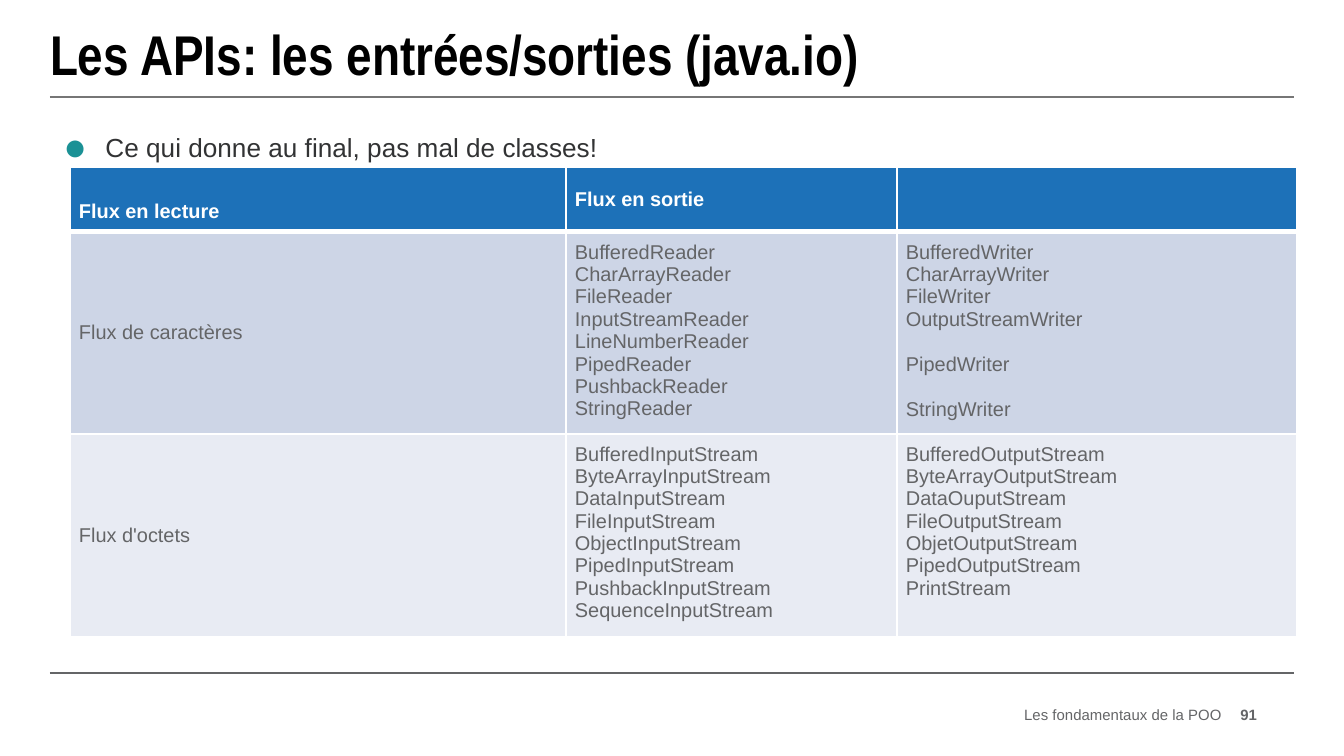
from lxml import etree
from pptx import Presentation
from pptx import util as u
from pptx.dml.color import RGBColor
from pptx.enum import shapes, text
from pptx.oxml.ns import qn

SCALE = 914400 / 134.4
GREY, WHITE = "646567", "FFFFFF"
SIZE = 10.7
GAP = 12.3

TITLE = "Les APIs: les entrées/sorties (java.io)"
POINT = "Ce qui donne au final, pas mal de classes!"
FOOT = [("Les fondamentaux de la POO", 926, 296, False), ("91", 1230, 27, True)]
RULES = [(97, "767676"), (673, GREY)]

COLS = [496, 331, 400]
ROWS = [65, 202, 203]
FILLS = ["1D71B8", "CDD5E6", "E8EBF3"]
HEAD = [["Flux en lecture"], ["Flux en sortie"], []]
CHARS = [
    ["Flux de caractères"],
    ["BufferedReader", "CharArrayReader", "FileReader", "InputStreamReader",
     "LineNumberReader", "PipedReader", "PushbackReader", "StringReader"],
    ["BufferedWriter", "CharArrayWriter", "FileWriter", "OutputStreamWriter",
     "PipedWriter", "StringWriter"],
]
BYTES = [
    ["Flux d'octets"],
    ["BufferedInputStream", "ByteArrayInputStream", "DataInputStream",
     "FileInputStream", "ObjectInputStream", "PipedInputStream",
     "PushbackInputStream", "SequenceInputStream"],
    ["BufferedOutputStream", "ByteArrayOutputStream", "DataOuputStream",
     "FileOutputStream", "ObjetOutputStream", "PipedOutputStream", "PrintStream"],
]
APART = {"PipedWriter", "StringWriter"}


def px(n):
    return u.Emu(round(n * SCALE))


def rgb(code):
    return RGBColor.from_string(code)


def place(shape, x, y, w, h):
    shape.left, shape.top, shape.width, shape.height = map(px, (x, y, w, h))


def write(frame, lines, size=SIZE, color=GREY, bold=False, font="Arial",
          align=text.PP_ALIGN.LEFT, before=0):
    for i, line in enumerate(lines):
        para = frame.paragraphs[0] if i == 0 else frame.add_paragraph()
        para.alignment = align
        para.space_before = u.Pt(GAP if line in APART else before)
        run = para.add_run()
        run.text = line
        run.font.size = u.Pt(size)
        run.font.name = font
        run.font.bold = bold
        run.font.color.rgb = rgb(color)


def trim(frame):
    frame.margin_left = frame.margin_right = 0
    frame.margin_top = frame.margin_bottom = 0
    frame.vertical_anchor = text.MSO_ANCHOR.MIDDLE
    frame.word_wrap = True
    frame.auto_size = text.MSO_AUTO_SIZE.NONE


def bullet(para, color, part, sign):
    props = para._p.get_or_add_pPr()
    props.set("marL", str(px(42)))
    props.set("indent", str(px(-42)))
    tint = etree.SubElement(props, qn("a:buClr"))
    etree.SubElement(tint, qn("a:srgbClr"), val=color)
    etree.SubElement(props, qn("a:buSzPct"), val=str(part * 1000))
    etree.SubElement(props, qn("a:buFont"), typeface="Arial")
    etree.SubElement(props, qn("a:buChar"), char=sign)


def border(cell, sides):
    props = cell._tc.get_or_add_tcPr()
    for i, (side, width) in enumerate(sides.items()):
        line = etree.Element(qn("a:ln" + side), w=str(u.Pt(width)))
        fill = etree.SubElement(line, qn("a:solidFill"))
        etree.SubElement(fill, qn("a:srgbClr"), val=WHITE)
        props.insert(i, line)


def rule(slide, y, color):
    line = slide.shapes.add_connector(
        shapes.MSO_CONNECTOR.STRAIGHT, px(50), px(y), px(1294), px(y))
    line.line.color.rgb = rgb(color)
    line.line.width = u.Pt(1)
    etree.SubElement(line._element.spPr, qn("a:effectLst"))


def grid(slide):
    table = slide.shapes.add_table(
        len(ROWS), len(COLS), px(70), px(167), px(sum(COLS)), px(sum(ROWS))).table
    for col, w in zip(table.columns, COLS):
        col.width = px(w)
    for r, row in enumerate([HEAD, CHARS, BYTES]):
        table.rows[r].height = px(ROWS[r])
        for c, lines in enumerate(row):
            cell = table.cell(r, c)
            cell.margin_left = cell.margin_right = px(9)
            cell.margin_top = cell.margin_bottom = px(9)
            cell.vertical_anchor = text.MSO_ANCHOR.MIDDLE
            if r and c:
                cell.vertical_anchor = text.MSO_ANCHOR.TOP
            elif r == c:
                cell.vertical_anchor = text.MSO_ANCHOR.BOTTOM
            cell.fill.solid()
            cell.fill.fore_color.rgb = rgb(FILLS[r])
            border(cell, {"L": 1, "R": 1, "T": 3 if r == 1 else 1, "B": 1 if r else 3})
            write(cell.text_frame, lines, color=GREY if r else WHITE, bold=r == 0)


def main():
    deck = Presentation()
    deck.slide_width, deck.slide_height = px(1344), px(756)
    slide = deck.slides.add_slide(deck.slide_layouts[1])
    for y, color in RULES:
        rule(slide, y, color)

    title, body = slide.placeholders
    place(title, 50, 12, 1243, 82)
    trim(title.text_frame)
    write(title.text_frame, [TITLE], size=30, color="000000", bold=True,
          font="Arial Narrow")
    place(body, 50, 125, 1243, 527)
    body.text_frame.auto_size = text.MSO_AUTO_SIZE.NONE
    write(body.text_frame, [POINT], size=14, color="323334", before=2)
    bullet(body.text_frame.paragraphs[0], "1B9195", 150, "●")

    for words, x, w, bold in FOOT:
        box = slide.shapes.add_textbox(px(x), px(705), px(w), px(20))
        trim(box.text_frame)
        write(box.text_frame, [words], size=8, bold=bold, align=text.PP_ALIGN.RIGHT)

    grid(slide)
    deck.save("out.pptx")


if __name__ == "__main__":
    main()
